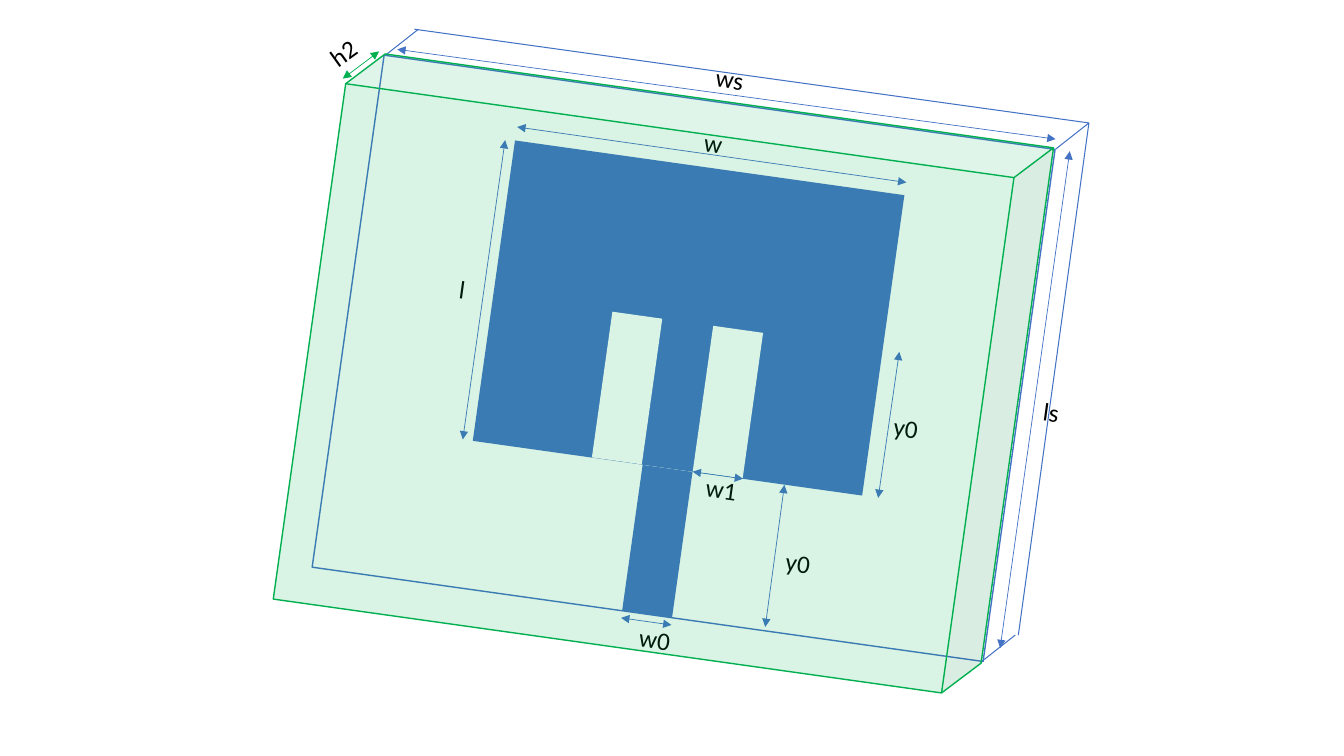
from lxml import etree
from pptx import Presentation
from pptx.dml.color import RGBColor
from pptx.enum.shapes import MSO_CONNECTOR, MSO_SHAPE
from pptx.enum.text import MSO_AUTO_SIZE, PP_ALIGN
from pptx.oxml.ns import qn
from pptx.util import Inches, Pt

LINE = MSO_CONNECTOR.STRAIGHT
RECT, CUBE = MSO_SHAPE.RECTANGLE, MSO_SHAPE.CUBE
GROW, CENTER = MSO_AUTO_SIZE.SHAPE_TO_FIT_TEXT, PP_ALIGN.CENTER
COLORS = {"blue": "4472C4", "green": "00B050", "white": "FFFFFF", "black": "000000"}
TILT = 8

# left, top, width, height, fill
PATCH = [
    (4.88, 1.65, 3.9, 3.01, "blue"),
    (6.27, 4.64, 0.5, 1.46, "blue"),
    (5.97, 3.12, 0.5, 1.46, "white"),
    (6.97, 3.26, 0.5, 1.46, "white"),
]
# start x, start y, end x, end y
SIZES = [
    (6.87, 4.68, 7.37, 4.75),
    (6.16, 6.13, 6.66, 6.2),
    (7.59, 6.22, 7.78, 4.81),
    (8.71, 4.94, 8.92, 3.49),
    (9.92, 6.43, 10.61, 1.5),
    (3.94, 0.49, 10.47, 1.38),
    (5.13, 1.26, 8.99, 1.81),
    (5.01, 1.39, 4.59, 4.36),
]
EDGES = [
    (3.82, 0.55, 4.15, 0.29),
    (10.47, 1.48, 10.8, 1.22),
    (9.74, 6.56, 10.07, 6.3),
    (4.11, 0.29, 10.8, 1.22),
    (10.1, 6.3, 10.8, 1.22),
]
# text, left, top, width, height
LABELS = [
    ("ws", 6.91, 0.58, 0.66, 0.4),
    ("ls", 10.2, 3.89, 0.46, 0.34),
    ("w", 6.85, 1.22, 0.46, 0.34),
    ("l", 4.36, 2.67, 0.46, 0.34),
    ("y0", 8.76, 4.04, 0.46, 0.34),
    ("w1", 6.9, 4.65, 0.51, 0.4),
    ("w0", 6.16, 6.14, 0.67, 0.4),
    ("y0", 7.69, 5.38, 0.46, 0.34),
]


def color(name):
    """Return the named colour."""
    return RGBColor.from_string(COLORS[name])


def add_box(shapes, box, kind=RECT, fill=None, line=None, alpha=None):
    """Add a tilted shape with an optional fill, outline and opacity."""
    shape = shapes.add_shape(kind, *map(Inches, box))
    shape.rotation = TILT
    shape.shadow.inherit = False
    if fill:
        shape.fill.solid()
        shape.fill.fore_color.rgb = color(fill)
    else:
        shape.fill.background()
    if alpha is not None:
        tint = shape.fill._xPr.find(qn("a:solidFill"))[0]
        etree.SubElement(tint, qn("a:alpha"), val=str(alpha * 1000))
    if line:
        shape.line.color.rgb = color(line)
        shape.line.width = Pt(1)
    else:
        shape.line.fill.background()
    return shape


def add_line(shapes, ends, hue="blue", width=0.5, arrows=True):
    """Add a straight line, with arrowheads at both ends if wanted."""
    line = shapes.add_connector(LINE, *map(Inches, ends))
    line.line.color.rgb = color(hue)
    line.line.width = Pt(width)
    if arrows:
        stroke = line.line._get_or_add_ln()
        for tag in ("a:headEnd", "a:tailEnd"):
            etree.SubElement(stroke, qn(tag), type="triangle")
    etree.SubElement(line._element.spPr, qn("a:effectLst"))


def add_text(shapes, text, box, size=18, font="Calibri", hue="black", turn=TILT):
    """Add a centred, rotated label."""
    label = shapes.add_textbox(*map(Inches, box))
    label.rotation = turn
    frame = label.text_frame
    frame.word_wrap = True
    frame.auto_size = GROW
    frame.margin_left = frame.margin_right = 0
    para = frame.paragraphs[0]
    para.alignment = CENTER
    run = para.add_run()
    run.text = text
    run.font.size = Pt(size)
    run.font.name = font
    run.font.color.rgb = color(hue)


def add_patch(shapes):
    """Add the patch with its feed, ground outline, sizes and labels."""
    for *box, fill in PATCH:
        add_box(shapes, box, fill=fill)
    add_box(shapes, (3.42, 0.99, 6.72, 5.13), line="blue")
    for ends in SIZES:
        add_line(shapes, ends)
    for text, *box in LABELS:
        add_text(shapes, text, box)


def add_slab(shapes):
    """Add the rear edges and the clear slab with its depth."""
    for ends in EDGES:
        add_line(shapes, ends, width=0.75, arrows=False)
    slab = add_box(shapes, (3.06, 0.95, 7.04, 5.51), CUBE, "green", "green", 15)
    slab.adjustments[0] = 0.063
    add_line(shapes, (3.76, 0.51, 3.4, 0.78), "green")
    add_text(shapes, "h2", (3.17, 0.32, 0.46, 0.4), turn=324.3)


def main():
    """Build and save the slide."""
    deck = Presentation()
    deck.slide_width, deck.slide_height = Inches(13.33), Inches(7.5)
    slide = deck.slides.add_slide(deck.slide_layouts[6])
    add_patch(slide.shapes.add_group_shape().shapes)
    add_slab(slide.shapes)
    deck.save("out.pptx")


main()
